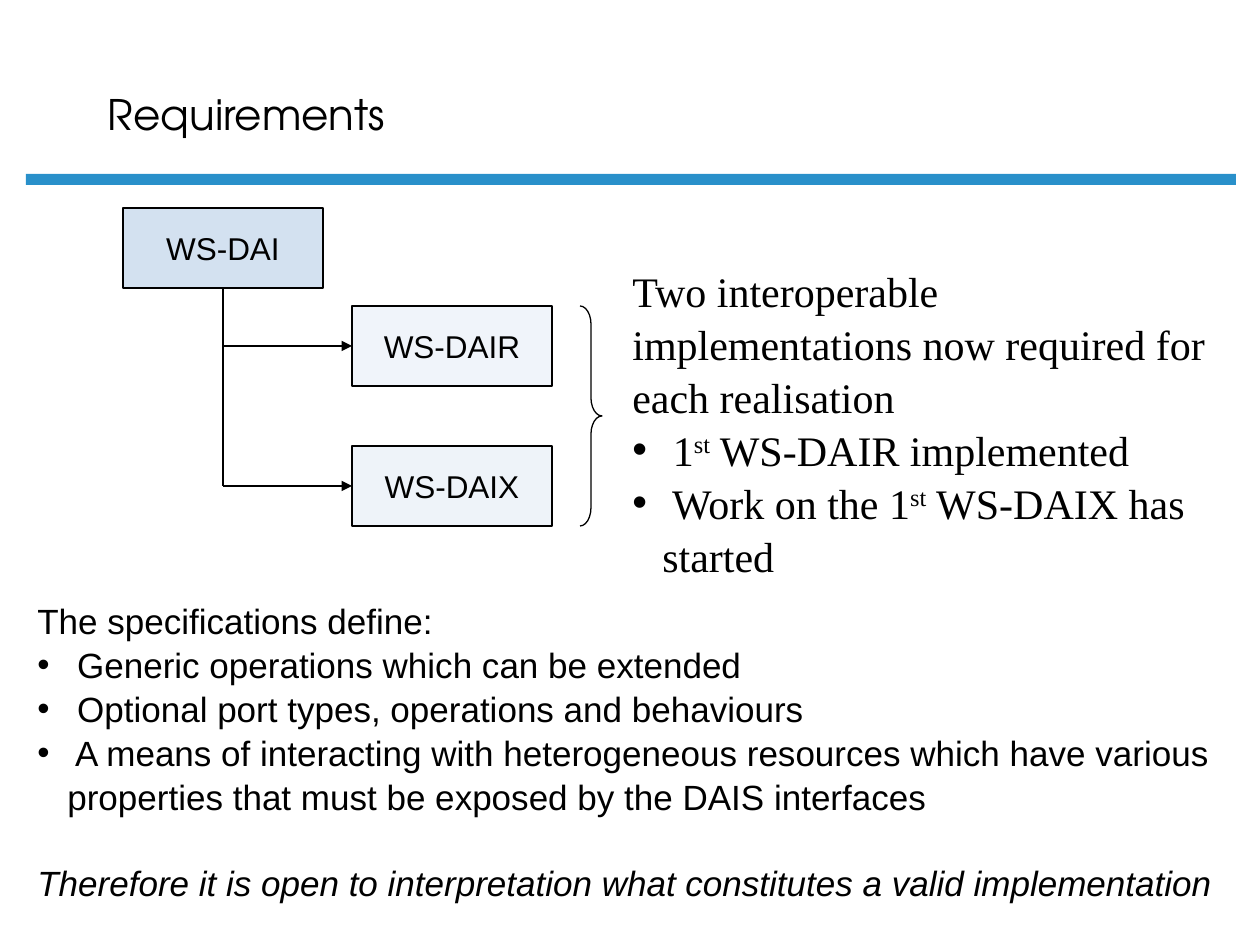
from lxml import etree
from pptx import Presentation
from pptx.dml.color import RGBColor
from pptx.enum.shapes import MSO_CONNECTOR, MSO_SHAPE
from pptx.enum.text import MSO_ANCHOR, PP_ALIGN
from pptx.oxml.ns import qn
from pptx.util import Pt

# Content
TITLE = "Requirements"
ROOT = ("WS-DAI", 123, 208, 90)  # text, left, top, opacity in percent
LEAVES = [("WS-DAIR", 352, 306, 31), ("WS-DAIX", 352, 446, 34)]
# Paragraphs: runs, style; a run of "st" is raised
STATUS = [
    (["Two interoperable implementations now required for each realisation"], ""),
    ([" 1", "st", " WS-DAIR implemented"], "bullet"),
    ([" Work on the 1", "st", " WS-DAIX has started"], "bullet"),
]
SPECS = [
    (["The specifications define:"], ""),
    ([" Generic operations which can be extended"], "bullet"),
    ([" Optional port types, operations and behaviours"], "bullet"),
    ([" A means of interacting with heterogeneous resources which have various "
      "properties that must be exposed by the DAIS interfaces"], "bullet"),
    (["Therefore it is open to interpretation what constitutes a valid "
      "implementation"], "closing"),
]

# Look
BLACK = RGBColor(0, 0, 0)
BLUE = RGBColor(0x29, 0x90, 0xCA)
PALE = RGBColor(0xCF, 0xDE, 0xEF)
SANS, SERIF, HEAD = "Arial", "Times New Roman", "TeX Gyre Adventor"
RECT, BRACE = MSO_SHAPE.RECTANGLE, MSO_SHAPE.RIGHT_BRACE
STRAIGHT = MSO_CONNECTOR.STRAIGHT
LEFT, CENTER = PP_ALIGN.LEFT, PP_ALIGN.CENTER
MIDDLE, BOTTOM = MSO_ANCHOR.MIDDLE, MSO_ANCHOR.BOTTOM
BOX_W, BOX_H, INDENT = 200, 80, 30
SCALE = 914400 // 126


def px(*vals):
    return [round(v * SCALE) for v in vals]


def style(par, face, size):
    par.font.name, par.font.size = face, Pt(size)
    par.font.color.rgb = BLACK


def ink(shape):
    shape.line.color.rgb = BLACK
    shape.line.width = Pt(0.75)


def add_box(text, left, top, alpha):
    box = slide.shapes.add_shape(RECT, *px(left, top, BOX_W, BOX_H))
    box.shadow.inherit = False
    box.fill.solid()
    box.fill.fore_color.rgb = PALE
    tint = box._element.spPr.find(qn("a:solidFill"))[0]
    etree.SubElement(tint, qn("a:alpha"), val=str(alpha * 1000))
    ink(box)
    frame = box.text_frame
    frame.word_wrap, frame.vertical_anchor = False, MIDDLE
    par = frame.paragraphs[0]
    par.text, par.alignment = text, CENTER
    style(par, SANS, 18)
    return box


def add_line(x1, y1, x2, y2, arrow=False):
    line = slide.shapes.add_connector(STRAIGHT, *px(x1, y1, x2, y2))
    ink(line)
    if arrow:
        etree.SubElement(line.line._get_or_add_ln(), qn("a:tailEnd"), type="triangle")
    etree.SubElement(line._element.spPr, qn("a:effectLst"))
    return line


def add_text(place, items, face, size):
    frame = slide.shapes.add_textbox(*px(*place)).text_frame
    frame.word_wrap = True
    for i, (runs, kind) in enumerate(items):
        par = frame.paragraphs[0] if i == 0 else frame.add_paragraph()
        par.line_spacing = 1.05
        if kind == "closing":
            par.space_before = Pt(size * 1.2)
        if kind == "bullet":
            props = par._p.get_or_add_pPr()
            props.set("marL", str(INDENT * SCALE))
            props.set("indent", str(-INDENT * SCALE))
            etree.SubElement(props, qn("a:buFont"), typeface=SANS)
            etree.SubElement(props, qn("a:buChar"), char="•")
        style(par, face, size)
        if kind == "closing":
            par.font.italic = True
        for text in runs:
            run = par.add_run()
            run.text = text
            if text == "st":
                run._r.get_or_add_rPr().set("baseline", "30000")


deck = Presentation()
deck.slide_width, deck.slide_height = px(1260, 945)
slide = deck.slides.add_slide(deck.slide_layouts[5])

# Title and rule
title = slide.shapes.title
title.left, title.top, title.width, title.height = px(95, 18, 1071, 127)
title.text_frame.vertical_anchor = BOTTOM
head = title.text_frame.paragraphs[0]
head.text, head.alignment = TITLE, LEFT
style(head, HEAD, 24)
rule = slide.shapes.add_shape(RECT, *px(26, 174, 1210, 11))
rule.shadow.inherit = False
rule.fill.solid()
rule.fill.fore_color.rgb = BLUE
rule.line.fill.background()

# Tree of specifications
root = add_box(*ROOT)
stem = ROOT[1] + BOX_W // 2
for leaf in LEAVES:
    box = add_box(*leaf)
    mid = leaf[2] + BOX_H // 2
    add_line(stem, mid, leaf[1], mid, arrow=True).end_connect(box, 1)
add_line(stem, ROOT[2] + BOX_H, stem, mid).begin_connect(root, 2)

# Brace over both realisations
first, last = LEAVES[0][2], LEAVES[-1][2] + BOX_H
brace = slide.shapes.add_shape(BRACE, *px(580, first, 22, last - first))
brace.shadow.inherit = False
brace.adjustments[0] = 0.83
brace.fill.background()
ink(brace)

# Text
add_text((620, 257, 615, 315), STATUS, SERIF, 24)
add_text((25, 591, 1201, 307), SPECS, SANS, 20)

deck.save("out.pptx")
